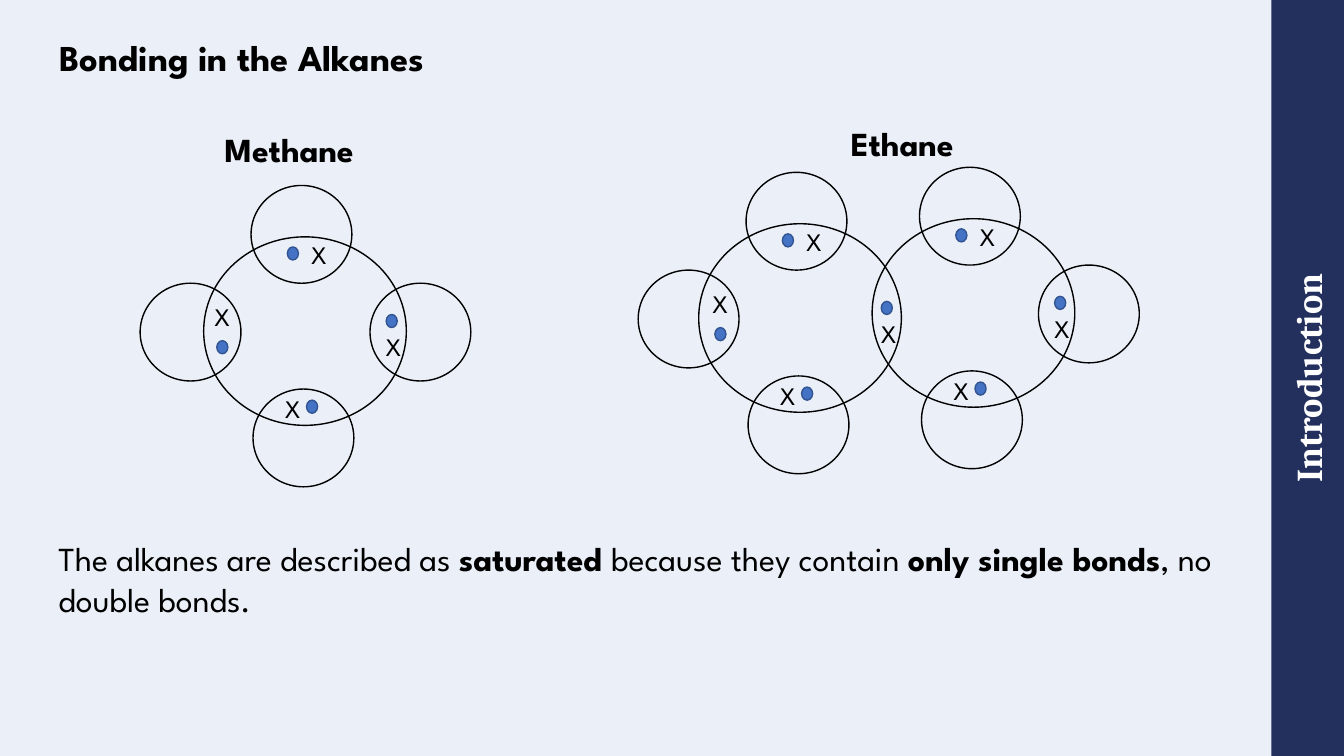
import pptx
import pptx.util
import pptx.dml.color
import pptx.enum.shapes
import pptx.enum.text

Inches = pptx.util.Inches
Pt = pptx.util.Pt
SHAPES = pptx.enum.shapes.MSO_SHAPE
ANCHOR = pptx.enum.text.MSO_ANCHOR
FIT = pptx.enum.text.MSO_AUTO_SIZE.SHAPE_TO_FIT_TEXT

CARBON_SIZE = (2.01, 1.87)
HYDROGEN_SIZE = (1, 0.97)
DOT_SIZE = (0.11, 0.13)
CROSS_SIZE = (0.36, 0.4)

BONDS = {
    "left": {"hydrogen": (-0.6, 0.46), "cross": (0.04, 0.59), "dot": (0.16, 1.03)},
    "right": {"hydrogen": (1.65, 0.46), "cross": (1.71, 0.89), "dot": (1.81, 0.77)},
    "bottom": {"hydrogen": (0.49, 1.51), "cross": (0.71, 1.5), "dot": (1.02, 1.62)},
    "top": {"hydrogen": (0.47, -0.51), "cross": (0.97, -0.02), "dot": (0.83, 0.1)},
}


def colour(value):
    return pptx.dml.color.RGBColor.from_string(value)


def apply(target, formats):
    for name, value in formats.items():
        setattr(target, name, value)


def add_block(slide, kind, place, fill=None, line=None):
    block = slide.shapes.add_shape(kind, *map(Inches, place))
    block.shadow.inherit = False
    if fill:
        block.fill.solid()
        block.fill.fore_color.rgb = colour(fill)
    else:
        block.fill.background()
    if line:
        block.line.color.rgb = colour(line)
        block.line.width = Pt(1)
    else:
        block.line.fill.background()
    return block


def write(block, runs, size, font="League Spartan", ink="000000", paragraph_format=None, **frame_format):
    apply(block.text_frame, frame_format)
    paragraph = block.text_frame.paragraphs[0]
    apply(paragraph, paragraph_format or {})
    for text, bold in runs:
        run = paragraph.add_run()
        run.text = text
        apply(run.font, {"name": font, "size": Pt(size), "bold": bold})
        run.font.color.rgb = colour(ink)


def add_text(slide, place, runs, size, **formats):
    block = slide.shapes.add_textbox(*map(Inches, place))
    write(block, runs, size, **formats)


def add_label(slide, place, text, size, bold):
    add_text(slide, place, [(text, bold)], size, word_wrap=False, auto_size=FIT)


def add_carbon(slide, left, top, hydrogens, shared=(), left_shift=0):
    def place(side, part, size):
        dx, dy = BONDS[side][part]
        shift = left_shift if side == "left" else 0
        return (left + dx + shift, top + dy, *size)

    add_block(slide, SHAPES.OVAL, (left, top, *CARBON_SIZE), line="000000")
    for side in hydrogens:
        add_block(slide, SHAPES.OVAL, place(side, "hydrogen", HYDROGEN_SIZE), line="000000")
    for side in (*hydrogens, *shared):
        add_label(slide, place(side, "cross", CROSS_SIZE), "X", 18, False)
        add_block(slide, SHAPES.OVAL, place(side, "dot", DOT_SIZE), "4472C4", "325491")


def add_banner(slide):
    banner = add_block(slide, SHAPES.RECTANGLE, (9.22, 3.39, 7.5, 0.72), fill="232F5D")
    banner.rotation = 270
    write(banner, [("Introduction", True)], 26, font="Cambria", ink="FFFFFF",
          paragraph_format={"alignment": pptx.enum.text.PP_ALIGN.CENTER},
          vertical_anchor=ANCHOR.MIDDLE,
          margin_left=0, margin_right=0, margin_top=0, margin_bottom=0)


def main():
    deck = pptx.Presentation()
    apply(deck, {"slide_width": Inches(13.33), "slide_height": Inches(7.5)})
    slide = deck.slides.add_slide(deck.slide_layouts[6])
    slide.background.fill.solid()
    slide.background.fill.fore_color.rgb = colour("EAEFF8")

    add_banner(slide)
    add_text(slide, (0.59, 0, 11.61, 0.79), [("Bonding in the Alkanes", True)], 26,
             paragraph_format={"line_spacing": 0.9},
             word_wrap=True, vertical_anchor=ANCHOR.BOTTOM,
             margin_left=0, margin_right=0, margin_top=0, margin_bottom=0)

    add_carbon(slide, 2.02, 2.35, ("left", "right", "bottom", "top"), left_shift=-0.03)
    add_carbon(slide, 8.65, 2.17, ("right", "bottom", "top"))
    add_carbon(slide, 6.93, 2.22, ("left", "bottom", "top"), shared=("right",))

    add_label(slide, (2.13, 1.23, 1.73, 0.5), "Methane", 24, True)
    add_label(slide, (8.34, 1.17, 1.32, 0.5), "Ethane", 24, True)
    explanation = [
        ("The alkanes are described as ", False),
        ("saturated ", True),
        ("because they contain ", False),
        ("only single bonds", True),
        (", no double bonds.", False),
    ]
    add_text(slide, (0.48, 5.29, 11.95, 0.91), explanation, 24, word_wrap=True, auto_size=FIT)
    deck.save("out.pptx")


if __name__ == "__main__":
    main()
